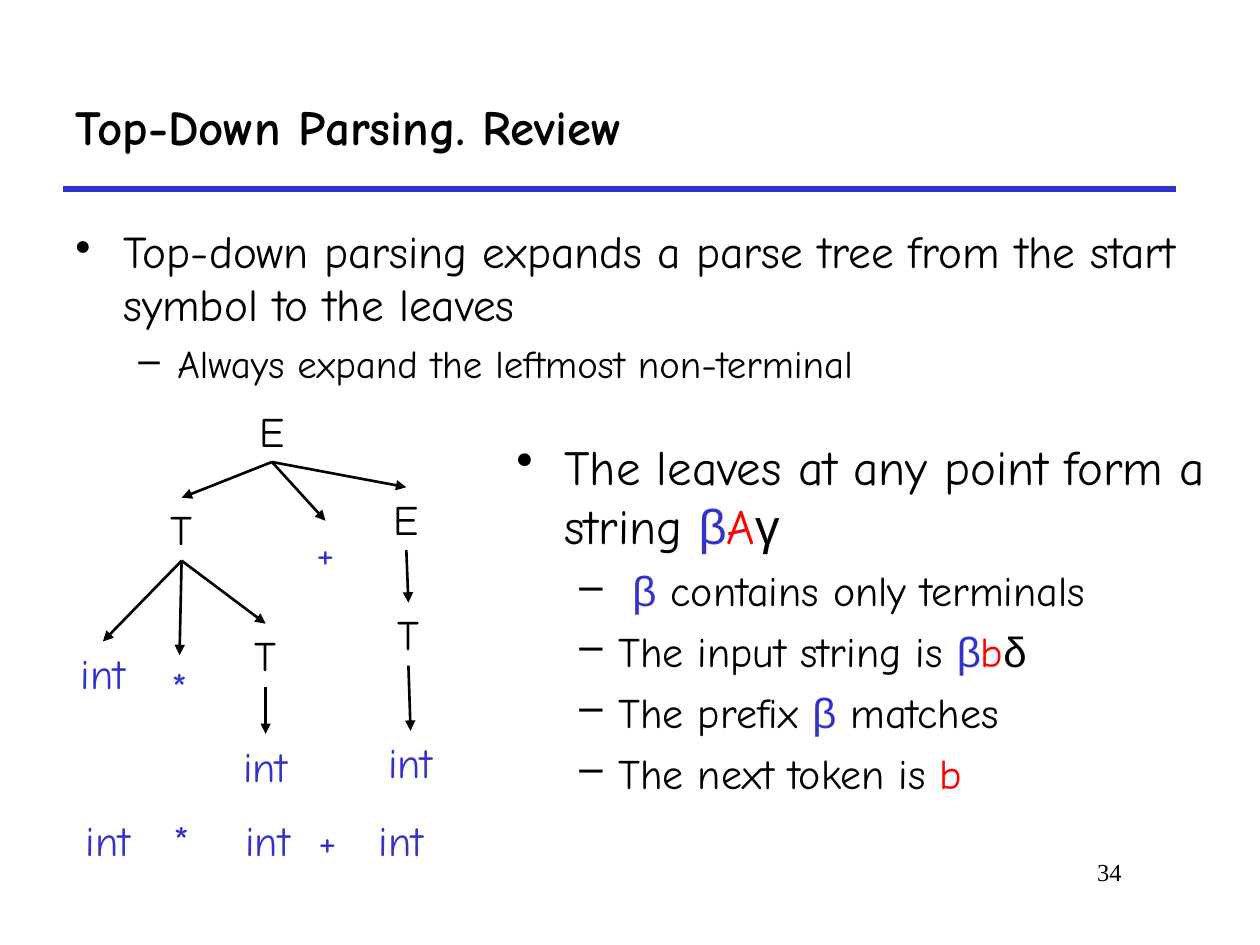
import pptx
import pptx.dml.color
import pptx.enum.shapes
import pptx.enum.text
import pptx.oxml.ns
import pptx.util
from lxml import etree

RGBColor = pptx.dml.color.RGBColor
ALIGN = pptx.enum.text.PP_ALIGN
ANCHOR = pptx.enum.text.MSO_ANCHOR
qn = pptx.oxml.ns.qn

BLACK = RGBColor(0x00, 0x00, 0x00)
BLUE = RGBColor(0x33, 0x33, 0xCC)
RED = RGBColor(0xFF, 0x00, 0x00)
COMIC, SANS, SERIF = "Comic Neue", "Arial", "Times New Roman"
COLUMNS, ROWS = 120, 90

# Bullet character, left margin and hanging indent in inches, space before
LEVELS = [("•", 0.38, -0.38, 7), ("–", 0.81, -0.31, 6)]


class LectureSlide:
    """Slide on a grid of 120 columns by 90 rows."""

    def __init__(self, deck):
        self.column = deck.slide_width / COLUMNS
        self.row = deck.slide_height / ROWS
        self.slide = deck.slides.add_slide(deck.slide_layouts[5])

    def x(self, columns):
        return round(columns * self.column)

    def y(self, rows):
        return round(rows * self.row)

    def run(self, paragraph, text, size, color=BLACK, name=COMIC, bold=False):
        run = paragraph.add_run()
        run.text = text
        style = {"size": pptx.util.Pt(size), "name": name, "bold": bold}
        for attribute, value in style.items():
            setattr(run.font, attribute, value)
        run.font.color.rgb = color

    def title(self, text, left, top, width, height):
        title = self.slide.shapes.title
        place = {"left": self.x(left), "top": self.y(top),
                 "width": self.x(width), "height": self.y(height)}
        for attribute, value in place.items():
            setattr(title, attribute, value)
        title.text_frame.vertical_anchor = ANCHOR.MIDDLE
        paragraph = title.text_frame.paragraphs[0]
        paragraph.alignment = ALIGN.LEFT
        self.run(paragraph, text, 28, bold=True)

    def box(self, left, top, width, height, wrap=True):
        frame = self.slide.shapes.add_textbox(
            self.x(left), self.y(top), self.x(width), self.y(height)).text_frame
        frame.word_wrap = wrap
        return frame

    def label(self, text, left, top, width, size=24, align=ALIGN.CENTER,
              tabs=(), wrap=False, **font):
        paragraph = self.box(left, top, width, 6, wrap).paragraphs[0]
        paragraph.alignment = align
        if tabs:
            stops = etree.SubElement(paragraph._p.get_or_add_pPr(), qn("a:tabLst"))
            for stop in tabs:
                etree.SubElement(stops, qn("a:tab"), pos=str(self.x(stop)), algn="l")
        self.run(paragraph, text, size, **font)

    def bullets(self, items, left, top, width, height, sizes, spacing=1.0):
        frame = self.box(left, top, width, height)
        for index, (level, runs) in enumerate(items):
            paragraph = frame.add_paragraph() if index else frame.paragraphs[0]
            mark, margin, indent, before = LEVELS[level]
            paragraph.level = level
            paragraph.line_spacing = spacing
            if index:
                paragraph.space_before = pptx.util.Pt(before)
            properties = paragraph._p.get_or_add_pPr()
            properties.set("marL", str(pptx.util.Inches(margin)))
            properties.set("indent", str(pptx.util.Inches(indent)))
            etree.SubElement(properties, qn("a:buChar"), char=mark)
            for text, *font in runs:
                self.run(paragraph, text, sizes[level], *font)

    def line(self, start, end, color=BLACK, width=1.5, arrow=True):
        line = self.slide.shapes.add_connector(
            pptx.enum.shapes.MSO_CONNECTOR.STRAIGHT,
            self.x(start[0]), self.y(start[1]), self.x(end[0]), self.y(end[1]))
        line.line.color.rgb = color
        line.line.width = pptx.util.Pt(width)
        if arrow:
            etree.SubElement(line.line._get_or_add_ln(), qn("a:tailEnd"), type="triangle")
        etree.SubElement(line._element.spPr, qn("a:effectLst"))

    def tree(self, nodes, height=6, width=7):
        """Each node is (text, centre column, top row, parent key)."""
        for text, center, top, parent in nodes.values():
            color = BLACK if text.isupper() else BLUE
            self.label(text, center - width / 2, top, width, color=color)
            if parent:
                _, parent_center, parent_top, _ = nodes[parent]
                self.line((parent_center, parent_top + height), (center, top))


BETA = ("β", BLUE, SANS)

OVERVIEW = [
    (0, [("Top-down parsing expands a parse tree from the start symbol to the leaves",)]),
    (1, [("Always expand the leftmost non-terminal",)]),
]

LEAVES = [
    (0, [("The leaves at any point form a string ",), BETA, ("A", RED),
         ("γ", BLACK, SANS)]),
    (1, [(" ",), BETA, (" contains only terminals",)]),
    (1, [("The input string is ",), BETA, ("b", RED), ("δ", BLACK, SANS)]),
    (1, [("The prefix ",), BETA, (" matches",)]),
    (1, [("The next token is ",), ("b", RED)]),
]

PARSE_TREE = {
    "start": ("E", 25.9, 38, None),
    "product": ("T", 17.3, 47.4, "start"),
    "plus": ("+", 31, 49.6, "start"),
    "sum": ("E", 38.7, 46.4, "start"),
    "first int": ("int", 9.8, 61.1, "product"),
    "times": ("*", 17.1, 62.4, "product"),
    "factor": ("T", 25.3, 59.4, "product"),
    "second int": ("int", 25.3, 69.9, "factor"),
    "term": ("T", 38.9, 57.4, "sum"),
    "third int": ("int", 39.1, 69.6, "term"),
}


def main():
    deck = pptx.Presentation()
    deck.slide_width = pptx.util.Inches(10)
    deck.slide_height = pptx.util.Inches(7.5)
    review = LectureSlide(deck)

    # Heading and rule
    review.title("Top-Down Parsing. Review", 6, 6, 106, 12)
    review.line((6, 18), (112, 18), BLUE, 3, arrow=False)

    # Explanations
    review.bullets(OVERVIEW, 6, 21, 109, 18, sizes=(25.9, 22.2), spacing=0.97)
    review.bullets(LEAVES, 48, 41, 68, 38, sizes=(28, 24))

    # Parse tree and the string its leaves form
    review.tree(PARSE_TREE)
    review.label("int\t*\tint\t+\tint", 7, 77, 36, align=ALIGN.LEFT,
                 tabs=(8.3, 15.2, 22.2, 27.9), wrap=True, color=BLUE)

    # Page number
    review.label("34", 83, 81, 25, size=14, align=ALIGN.RIGHT, wrap=True, name=SERIF)

    deck.save("out.pptx")


if __name__ == "__main__":
    main()
